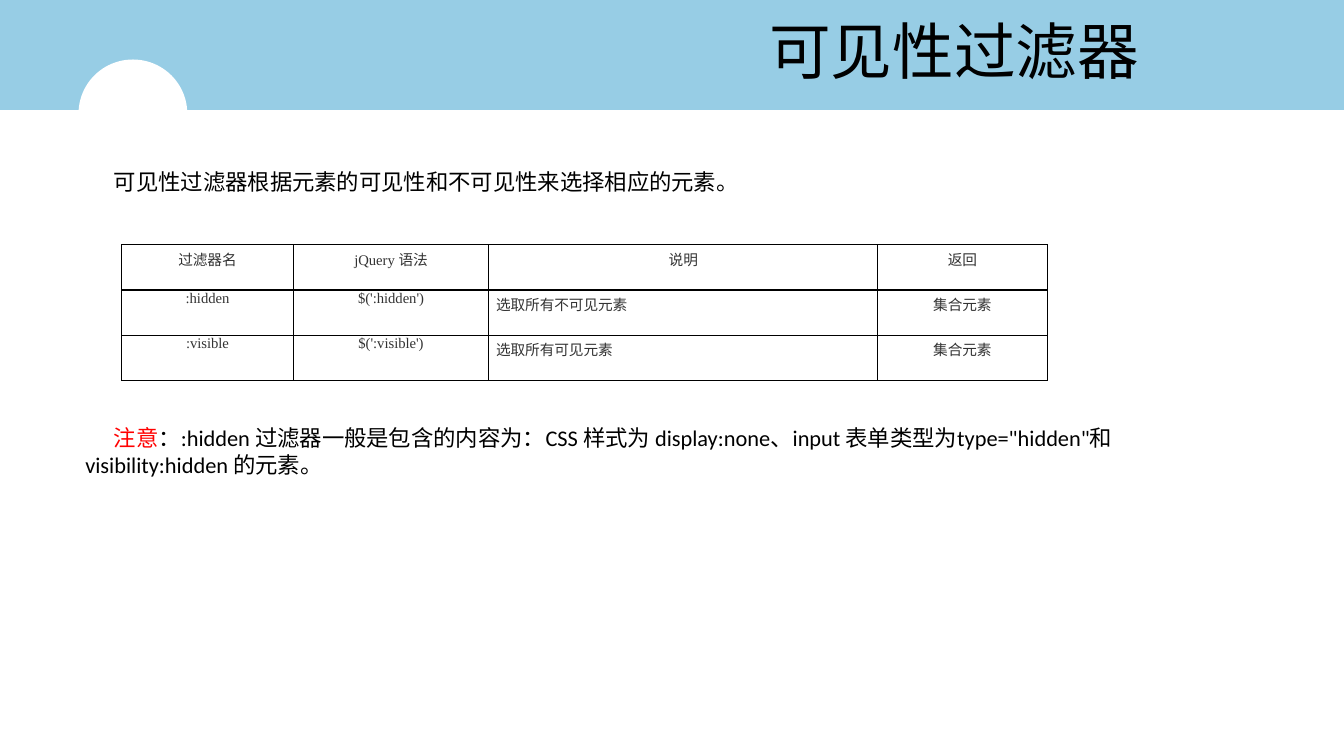
from lxml import etree
from pptx import Presentation
from pptx.dml.color import RGBColor
from pptx.enum.shapes import MSO_SHAPE
from pptx.enum.text import MSO_ANCHOR, PP_ALIGN
from pptx.oxml import parse_xml
from pptx.oxml.ns import nsdecls, qn
from pptx.util import Cm, Pt

RECT, OVAL = MSO_SHAPE.RECTANGLE, MSO_SHAPE.OVAL
LEFT, CENTER = PP_ALIGN.LEFT, PP_ALIGN.CENTER
TOP, MIDDLE = MSO_ANCHOR.TOP, MSO_ANCHOR.MIDDLE

SKY = RGBColor(0x97, 0xCD, 0xE5)
WHITE = RGBColor(0xFF, 0xFF, 0xFF)
BLACK = RGBColor(0, 0, 0)
RED = RGBColor(0xFF, 0, 0)
GREY = RGBColor(0x33, 0x33, 0x33)


class FilterSlide:
    body_font = "Calibri"
    latin_font = "Times New Roman"
    cjk_font = "Noto Sans CJK JP"
    cell_size = 10.5

    def __init__(self, prs):
        self.s = prs.slides.add_slide(prs.slide_layouts[6])

    def shape(self, kind, x, y, w, h, color):
        sp = self.s.shapes.add_shape(kind, Cm(x), Cm(y), Cm(w), Cm(h))
        sp.shadow.inherit = False
        sp.fill.solid()
        sp.fill.fore_color.rgb = color
        sp.line.fill.background()

    def run(self, p, text, font, size, color):
        r = p.add_run()
        r.text = text
        r.font.name = font
        r.font.size = Pt(size)
        r.font.color.rgb = color
        return r

    def text(self, x, y, w, h, runs, size, align=LEFT, anchor=TOP, indent=0):
        sp = self.s.shapes.add_textbox(Cm(x), Cm(y), Cm(w), Cm(h))
        tf = sp.text_frame
        tf.word_wrap = True
        tf.vertical_anchor = anchor
        p = tf.paragraphs[0]
        p.alignment = align
        if indent:
            p._p.get_or_add_pPr().set("indent", str(Cm(indent)))
        for text, color in runs:
            self.run(p, text, self.body_font, size, color)

    def border(self, cell):
        tcPr = cell._tc.get_or_add_tcPr()
        for i, side in enumerate(("lnL", "lnR", "lnT", "lnB")):
            ln = parse_xml(
                f'<a:{side} {nsdecls("a")} w="{Pt(1)}"><a:solidFill>'
                f'<a:srgbClr val="{BLACK}"/></a:solidFill></a:{side}>')
            tcPr.insert(i, ln)

    def cell(self, cell, runs, align):
        cell.fill.background()
        self.border(cell)
        cell.margin_left = Cm(0.18 if align == LEFT else 0)
        cell.margin_right = cell.margin_top = cell.margin_bottom = 0
        p = cell.text_frame.paragraphs[0]
        p.alignment = align
        for text in runs:
            font = self.latin_font if text.isascii() else self.cjk_font
            r = self.run(p, text, font, self.cell_size, GREY)
            if font == self.cjk_font:
                p.line_spacing = Pt(17.6)
                ea = etree.SubElement(r._r.get_or_add_rPr(), qn("a:ea"))
                ea.set("typeface", font)

    def table(self, x, y, widths, row_height, rows):
        table = self.s.shapes.add_table(
            len(rows), len(widths), Cm(x), Cm(y),
            Cm(sum(widths)), Cm(row_height * len(rows))).table
        table.first_row = table.horz_banding = False
        for column, width in zip(table.columns, widths):
            column.width = Cm(width)
        for i, row in enumerate(rows):
            table.rows[i].height = Cm(row_height)
            for j, runs in enumerate(row):
                align = LEFT if i and j == 2 else CENTER
                self.cell(table.cell(i, j), runs, align)


def main():
    prs = Presentation()
    prs.slide_width, prs.slide_height = Cm(33.87), Cm(19.05)
    slide = FilterSlide(prs)
    slide.shape(RECT, 0, 0, 33.87, 2.77, SKY)
    slide.shape(OVAL, 1.98, 1.5, 2.74, 2.72, WHITE)
    slide.text(14.6, 0.03, 18.9, 2.44, [("可见性过滤器", BLACK)], 44, CENTER, MIDDLE)
    slide.text(2.62, 4.11, 26.64, 1.7,
               [("可见性过滤器根据元素的可见性和不可见性来选择相应的元素。", BLACK)], 16)
    slide.table(3.07, 6.17, [4.32, 4.93, 9.8, 4.27], 1.14, [
        [["过滤器名"], ["jQuery ", "语法"], ["说明"], ["返回"]],
        [[":hidden"], ["$(':hidden')"], ["选取所有不可见元素"], ["集合元素"]],
        [[":visible"], ["$(':visible')"], ["选取所有可见元素"], ["集合元素"]],
    ])
    slide.text(1.9, 10.57, 29.49, 2.49, [
        ("注意", RED),
        ('：:hidden 过滤器一般是包含的内容为：CSS 样式为 display:none、'
         'input 表单类型为type="hidden"和 visibility:hidden 的元素。', BLACK),
    ], 16, indent=0.72)
    prs.save("out.pptx")


if __name__ == "__main__":
    main()
